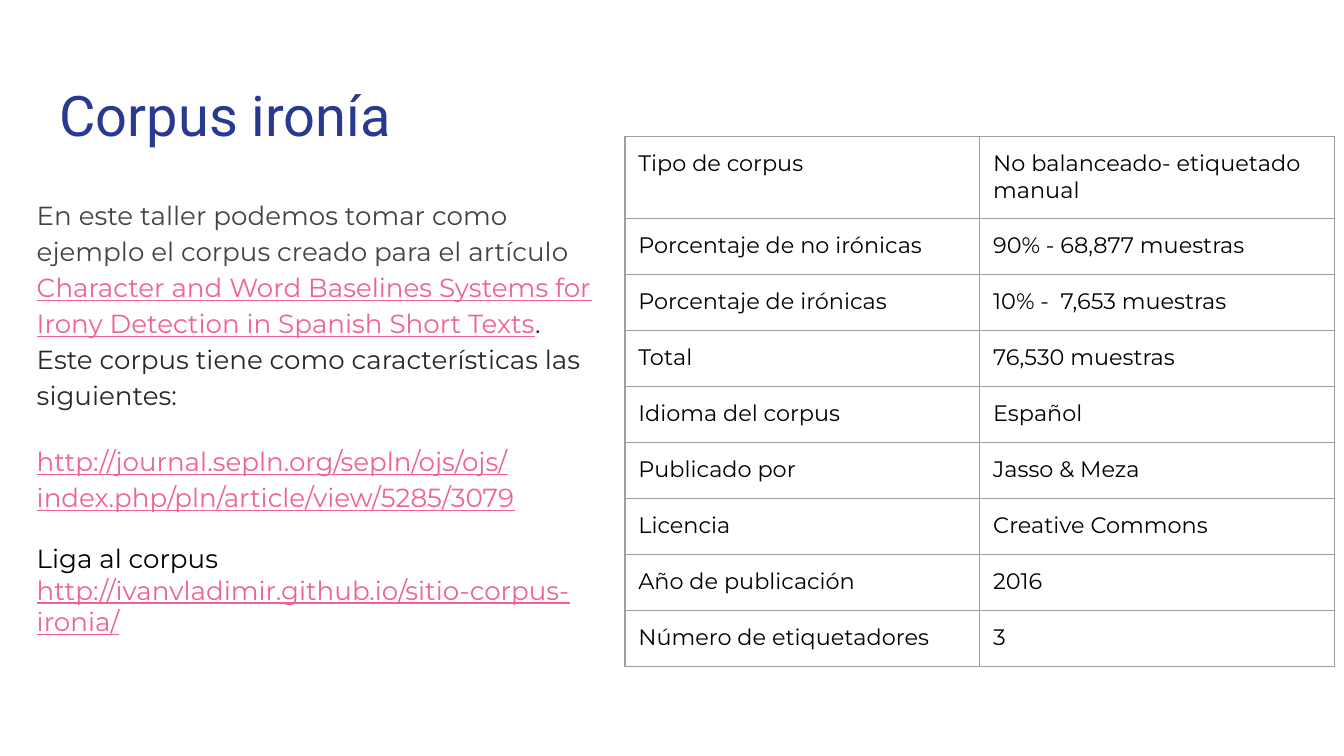
from typing import NamedTuple

from lxml import etree
from pptx import Presentation
from pptx.dml.color import RGBColor
from pptx.enum.text import MSO_ANCHOR
from pptx.oxml.ns import qn
from pptx.util import Inches, Pt

TOP = MSO_ANCHOR.TOP
WIDE = Inches(10)
HIGH = WIDE * 9 // 16
UNIT = WIDE / 100
PAD = Inches(0.1)
SANS = "Montserrat"
HUES = {
    "title": "2A3990",
    "gray": "434343",
    "link": "F06292",
    "dark": "24292E",
    "black": "000000",
    "edge": "9E9E9E",
}


class Box(NamedTuple):
    left: float
    top: float
    width: float
    height: float


class Span(NamedTuple):
    text: str
    hue: str


class Para(NamedTuple):
    spans: list[Span]
    size: float = 14
    face: str = SANS
    line: float = 1.0
    before: float = 0


TITLE = [Para([Span("Corpus ironía", "title")], 30, "Roboto")]
BODY = [
    Para([
        Span("En este taller podemos tomar como ejemplo el corpus creado para el artículo ", "gray"),
        Span("Character and Word Baselines Systems for Irony Detection in Spanish Short Texts", "link"),
        Span(". Este corpus tiene como características las siguientes:", "dark"),
    ], line=1.15),
    Para([
        Span("http://journal.sepln.org/sepln/ojs/ojs/index.php/pln/article/view/5285/3079", "link"),
    ], line=1.15, before=16),
    Para([
        Span("Liga al corpus ", "black"),
        Span("http://ivanvladimir.github.io/sitio-corpus-ironia/", "link"),
    ], before=16),
]
FACTS = [
    ("Tipo de corpus", "No balanceado- etiquetado manual"),
    ("Porcentaje de no irónicas", "90% - 68,877 muestras"),
    ("Porcentaje de irónicas", "10% -  7,653 muestras"),
    ("Total", "76,530 muestras"),
    ("Idioma del corpus", "Español"),
    ("Publicado por", "Jasso & Meza"),
    ("Licencia", "Creative Commons"),
    ("Año de publicación", "2016"),
    ("Número de etiquetadores", "3"),
]


def place(box: Box) -> list[int]:
    return [int(share * UNIT) for share in box]


def pad(area) -> None:
    area.margin_left = area.margin_right = PAD
    area.margin_top = area.margin_bottom = PAD
    area.vertical_anchor = TOP


def write(frame, paras: list[Para]) -> None:
    for i, para in enumerate(paras):
        p = frame.add_paragraph() if i else frame.paragraphs[0]
        p.line_spacing = para.line
        p.space_before = Pt(para.before)
        p.font.size, p.font.name = Pt(para.size), para.face
        for span in para.spans:
            run = p.add_run()
            run.text = span.text
            run.font.color.rgb = RGBColor.from_string(HUES[span.hue])
            if span.hue == "link":
                run.font.underline = True


def add_text(slide, box: Box, paras: list[Para]) -> None:
    frame = slide.shapes.add_textbox(*place(box)).text_frame
    frame.word_wrap = True
    pad(frame)
    write(frame, paras)


def edge(cell) -> None:
    props = cell._tc.get_or_add_tcPr()
    for i, side in enumerate(("a:lnL", "a:lnR", "a:lnT", "a:lnB")):
        line = etree.Element(qn(side), w=str(Pt(0.75)))
        fill = etree.SubElement(line, qn("a:solidFill"))
        etree.SubElement(fill, qn("a:srgbClr"), val=HUES["edge"])
        props.insert(i, line)


def add_grid(slide, box: Box, facts: list[tuple[str, str]]) -> None:
    grid = slide.shapes.add_table(len(facts), 2, *place(box)).table
    grid.first_row = grid.horz_banding = False
    for row, texts in zip(grid.rows, facts):
        row.height = int(4.17 * UNIT)
        for cell, text in zip(row.cells, texts):
            pad(cell)
            cell.fill.background()
            edge(cell)
            write(cell.text_frame, [Para([Span(text, "black")], 12)])
    grid.rows[0].height = int(6.1 * UNIT)


def main() -> None:
    deck = Presentation()
    deck.slide_width, deck.slide_height = WIDE, HIGH
    slide = deck.slides.add_slide(deck.slide_layouts[6])
    add_text(slide, Box(3.45, 5, 93.2, 6.6), TITLE)
    add_text(slide, Box(1.75, 13.5, 43.7, 36.5), BODY)
    add_grid(slide, Box(46.5, 10.15, 52.8, 39.4), FACTS)
    deck.save("out.pptx")


if __name__ == "__main__":
    main()
